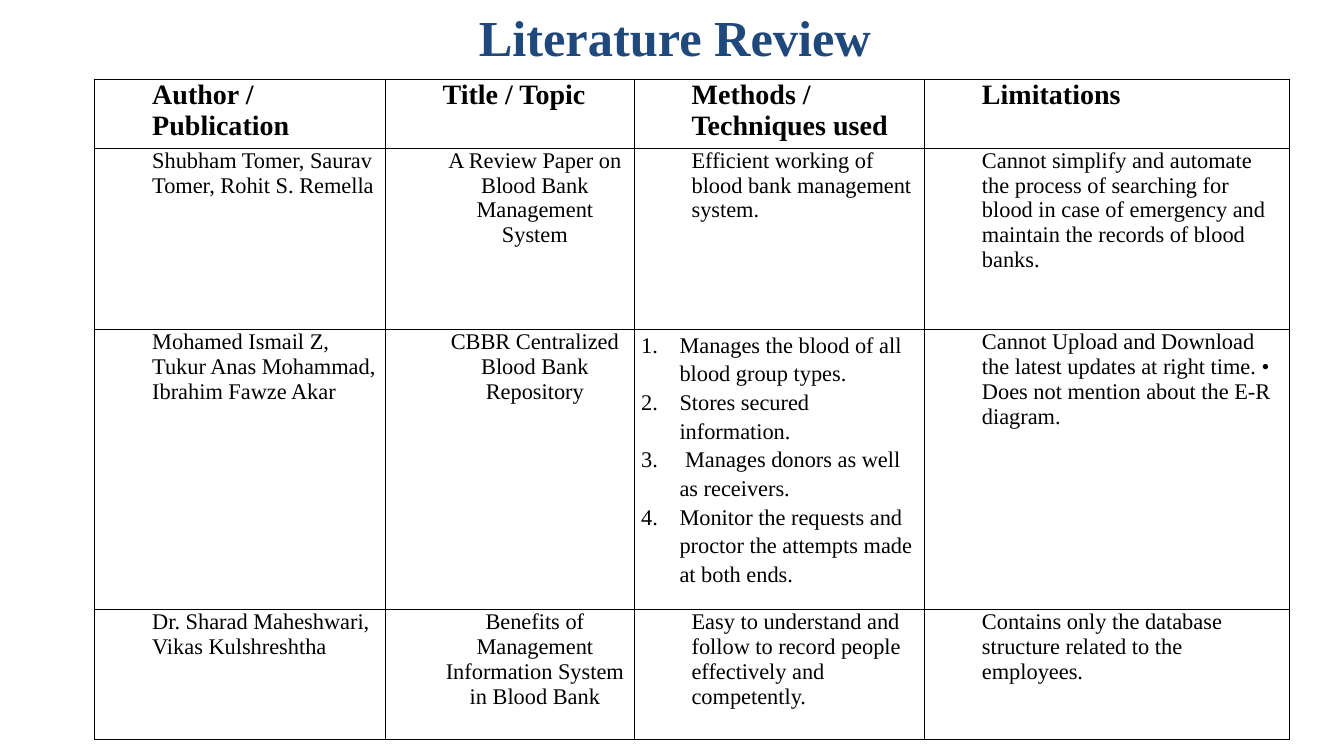
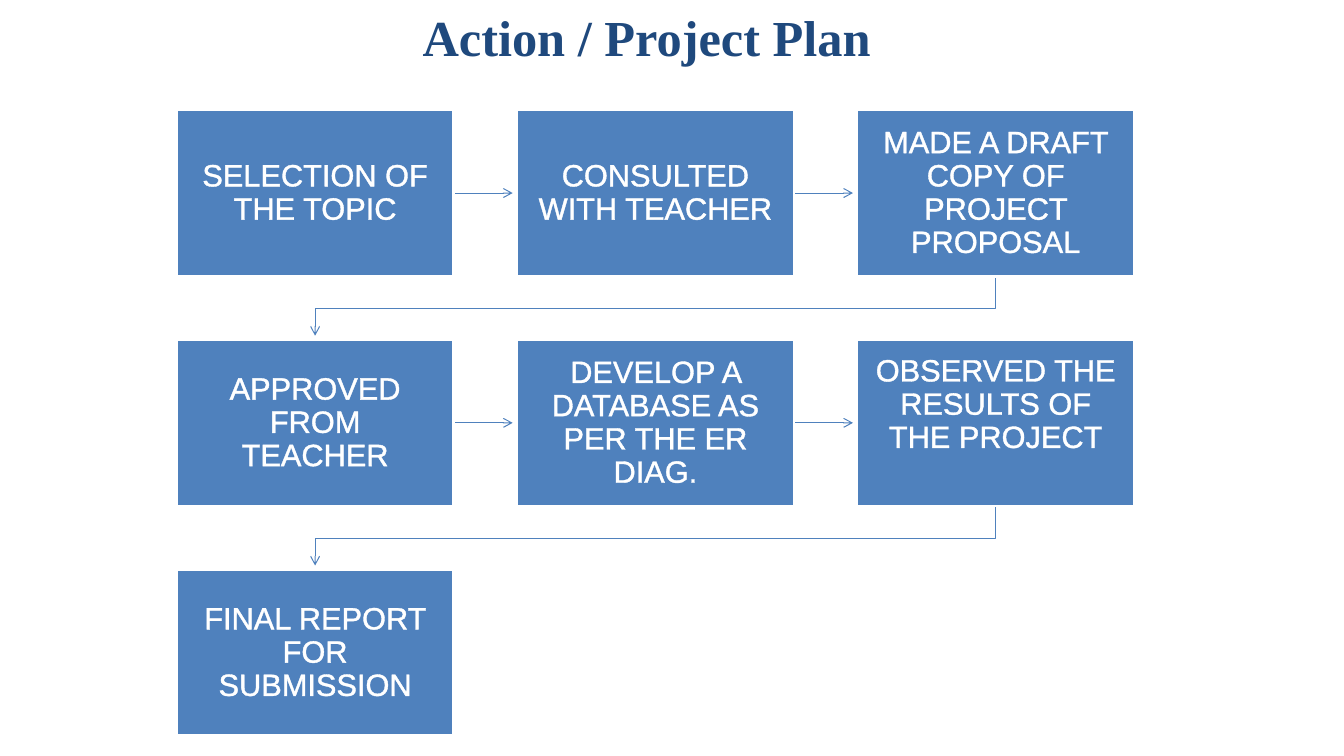
from dataclasses import dataclass

import pptx
import pptx.dml.color
import pptx.enum.dml
import pptx.enum.shapes
import pptx.enum.text
import pptx.oxml
import pptx.oxml.ns
import pptx.util
from pptx.util import Inches

Align = pptx.enum.text.PP_ALIGN
Anchor = pptx.enum.text.MSO_ANCHOR
qn = pptx.oxml.ns.qn
NAMESPACE = pptx.oxml.ns.nsdecls("a")


@dataclass(frozen=True)
class Theme:
    navy: str = "1F497D"
    blue: str = "4F81BD"
    white: str = "FFFFFF"
    black: str = "000000"
    serif: str = "Times New Roman"
    sans: str = "Arial"
    title_size: float = 36
    heading_size: float = 20
    table_size: float = 16
    step_size: float = 22
    border_width: float = 1
    box_line: float = 2
    arrow_line: float = 0.75
    letter_outline: float = 1.45


@dataclass(frozen=True)
class Review:
    authors: str
    topic: str
    methods: str | list[str]
    limitations: str


@dataclass(frozen=True)
class Step:
    label: str
    lift: float = 0


@dataclass(frozen=True)
class StepGrid:
    left: float = 1.75
    top: float = 1.09
    width: float = 9.5
    box_width: float = 2.75
    box_height: float = 1.65
    row_pitch: float = 2.28
    columns: int = 3

    def corner(self, index: int) -> tuple[float, float]:
        """Left and top of the box with this index, in inches."""
        row, column = divmod(index, self.columns)
        column_pitch = (self.width - self.box_width) / (self.columns - 1)
        return self.left + column * column_pitch, self.top + row * self.row_pitch


THEME = Theme()
GRID = StepGrid()
INSET = 0.17
ARROW_GAP = 0.04
ELBOW_DROP = 0.32

HEADINGS = ["Author / Publication", "Title / Topic", "Methods / Techniques used", "Limitations"]
COLUMN_WIDTHS = [2.88, 2.47, 2.88, 3.62]
ROW_HEIGHTS = [0.68, 1.8, 2.78, 1.29]
REVIEWS = [
    Review(
        "Shubham Tomer, Saurav Tomer, Rohit S. Remella",
        "A Review Paper on Blood Bank Management System",
        "Efficient working of blood bank management system.",
        "Cannot simplify and automate the process of searching for blood in case of "
        "emergency and maintain the records of blood banks.",
    ),
    Review(
        "Mohamed Ismail Z, Tukur Anas Mohammad, Ibrahim Fawze Akar",
        "CBBR Centralized Blood Bank Repository",
        [
            "Manages the blood of all blood group types.",
            "Stores secured information.",
            " Manages donors as well as receivers.",
            "Monitor the requests and proctor the attempts made at both ends.",
        ],
        "Cannot Upload and Download the latest updates at right time. • "
        "Does not mention about the E-R diagram.",
    ),
    Review(
        "Dr. Sharad Maheshwari, Vikas Kulshreshtha",
        "Benefits of Management Information System in Blood Bank",
        "Easy to understand and follow to record people effectively and competently.",
        "Contains only the database structure related to the employees.",
    ),
]
STEPS = [
    Step("SELECTION OF THE TOPIC"),
    Step("CONSULTED WITH TEACHER"),
    Step("MADE A DRAFT COPY OF PROJECT PROPOSAL"),
    Step("APPROVED FROM TEACHER"),
    Step("DEVELOP A DATABASE AS PER THE ER DIAG."),
    Step("OBSERVED THE RESULTS OF THE PROJECT", lift=0.19),
    Step("FINAL REPORT FOR SUBMISSION"),
]


def rgb(color: str) -> pptx.dml.color.RGBColor:
    return pptx.dml.color.RGBColor.from_string(color)


def line_xml(tag: str, width: float, color: str) -> str:
    return (
        f'<a:{tag} {NAMESPACE} w="{pptx.util.Pt(width)}"><a:solidFill>'
        f'<a:srgbClr val="{color}"/></a:solidFill></a:{tag}>'
    )


def write_text(paragraph, text: str, *, size: float, color: str = THEME.black,
               font: str = THEME.serif, bold: bool = False, align=Align.LEFT,
               spacing: float = 1.0, outline: float = 0,
               indent: tuple[float, float] = (0, 0), numbered: bool = False) -> None:
    run = paragraph.add_run()
    run.text = text
    run.font.size = pptx.util.Pt(size)
    run.font.name = font
    run.font.bold = bold
    run.font.color.rgb = rgb(color)
    if outline:
        run.font._element.insert(0, pptx.oxml.parse_xml(line_xml("ln", outline, color)))
    paragraph.alignment = align
    paragraph.line_spacing = spacing
    properties = paragraph._p.get_or_add_pPr()
    properties.set("marL", str(Inches(indent[0])))
    properties.set("indent", str(Inches(indent[1])))
    if numbered:
        properties.append(
            pptx.oxml.parse_xml(f'<a:buAutoNum {NAMESPACE} type="arabicPeriod"/>'))


def set_insets(frame, left: float, top: float, right: float, bottom: float) -> None:
    frame.margin_left, frame.margin_top = Inches(left), Inches(top)
    frame.margin_right, frame.margin_bottom = Inches(right), Inches(bottom)


def add_titled_slide(deck, title: str, left: float, width: float):
    slide = deck.slides.add_slide(deck.slide_layouts.get_by_name("Title Only"))
    heading = slide.shapes.title
    heading.left, heading.top = Inches(left), Inches(0.01)
    heading.width, heading.height = Inches(width), Inches(0.7)
    frame = heading.text_frame
    frame.word_wrap = True
    frame.auto_size = pptx.enum.text.MSO_AUTO_SIZE.NONE
    frame.vertical_anchor = Anchor.TOP
    set_insets(frame, 0.1, 0.05, 0.1, 0.05)
    write_text(frame.paragraphs[0], title, size=THEME.title_size, color=THEME.navy,
               bold=True, align=Align.CENTER)
    return slide


def fill_cell(cell, content: str | list[str], **text_format) -> None:
    """Write one paragraph, or a numbered list, into a bordered white cell."""
    cell.margin_left = cell.margin_right = Inches(0.07)
    cell.margin_top = cell.margin_bottom = 0
    cell.vertical_anchor = Anchor.TOP
    properties = cell._tc.get_or_add_tcPr()
    for edge in ("lnL", "lnR", "lnT", "lnB"):
        properties.append(
            pptx.oxml.parse_xml(line_xml(edge, THEME.border_width, THEME.black)))
    cell.fill.solid()
    cell.fill.fore_color.rgb = rgb(THEME.white)
    frame = cell.text_frame
    if isinstance(content, str):
        write_text(frame.paragraphs[0], content, indent=(0.5, 0), **text_format)
        return
    for number, item in enumerate(content):
        paragraph = frame.add_paragraph() if number else frame.paragraphs[0]
        write_text(paragraph, item, indent=(0.38, -0.38), spacing=1.15,
                   numbered=True, **text_format)


def add_review_table(slide) -> None:
    table = slide.shapes.add_table(
        len(ROW_HEIGHTS), len(COLUMN_WIDTHS), Inches(0.94), Inches(0.79),
        Inches(sum(COLUMN_WIDTHS)), Inches(sum(ROW_HEIGHTS))).table
    table.first_row = table.horz_banding = False
    for column, width in zip(table.columns, COLUMN_WIDTHS):
        column.width = Inches(width)
    for row, height in zip(table.rows, ROW_HEIGHTS):
        row.height = Inches(height)
    for column, heading in enumerate(HEADINGS):
        fill_cell(table.cell(0, column), heading, size=THEME.heading_size, bold=True)
    for row, review in enumerate(REVIEWS, start=1):
        entries = (review.authors, review.topic, review.methods, review.limitations)
        for column, entry in enumerate(entries):
            fill_cell(table.cell(row, column), entry, size=THEME.table_size,
                      align=Align.CENTER if column == 1 else Align.LEFT)


def style_arrow(arrow) -> None:
    arrow.line.color.rgb = rgb(THEME.blue)
    arrow.line.width = pptx.util.Pt(THEME.arrow_line)
    properties = arrow._element.spPr
    properties.find(qn("a:ln")).append(
        pptx.oxml.parse_xml(f'<a:tailEnd {NAMESPACE} type="arrow"/>'))
    if properties.find(qn("a:effectLst")) is None:
        properties.append(pptx.oxml.parse_xml(f"<a:effectLst {NAMESPACE}/>"))


def add_step_arrow(slide, index: int) -> None:
    """Lead from the step before to this one, turning back at a row's end."""
    from_left, from_top = GRID.corner(index - 1)
    to_left, to_top = GRID.corner(index)
    if from_top == to_top:
        middle = Inches(to_top + GRID.box_height / 2)
        arrow = slide.shapes.add_connector(
            pptx.enum.shapes.MSO_CONNECTOR.STRAIGHT,
            Inches(from_left + GRID.box_width), middle, Inches(to_left - ARROW_GAP), middle)
    else:
        start_x = Inches(from_left + GRID.box_width / 2)
        end_x = Inches(to_left + GRID.box_width / 2)
        start_y = from_top + GRID.box_height
        turn_y = Inches(start_y + ELBOW_DROP)
        outline = slide.shapes.build_freeform(start_x, Inches(start_y))
        outline.add_line_segments(
            [(start_x, turn_y), (end_x, turn_y), (end_x, Inches(to_top - ARROW_GAP))],
            close=False)
        arrow = outline.convert_to_shape()
        arrow.fill.background()
        arrow.shadow.inherit = False
    style_arrow(arrow)


def add_step_box(slide, index: int, step: Step) -> None:
    left, top = GRID.corner(index)
    box = slide.shapes.add_shape(
        pptx.enum.shapes.MSO_SHAPE.RECTANGLE, Inches(left), Inches(top),
        Inches(GRID.box_width), Inches(GRID.box_height))
    box.shadow.inherit = False
    box.fill.solid()
    box.fill.fore_color.rgb = rgb(THEME.blue)
    box.line.color.rgb = rgb(THEME.white)
    box.line.width = pptx.util.Pt(THEME.box_line)
    frame = box.text_frame
    frame.word_wrap = True
    frame.vertical_anchor = Anchor.MIDDLE
    set_insets(frame, INSET, max(INSET - step.lift, 0), INSET, INSET + step.lift)
    write_text(frame.paragraphs[0], step.label, size=THEME.step_size, color=THEME.white,
               font=THEME.sans, align=Align.CENTER, spacing=0.9,
               outline=THEME.letter_outline)


def main() -> None:
    deck = pptx.Presentation()
    deck.slide_width, deck.slide_height = Inches(13.33), Inches(7.5)

    add_review_table(add_titled_slide(deck, "Literature Review", 1.23, 10.93))

    plan = add_titled_slide(deck, "Action / Project Plan", 0.75, 11.33)
    for index in range(1, len(STEPS)):
        add_step_arrow(plan, index)
    for index, step in enumerate(STEPS):
        add_step_box(plan, index, step)

    deck.save("out.pptx")


if __name__ == "__main__":
    main()
